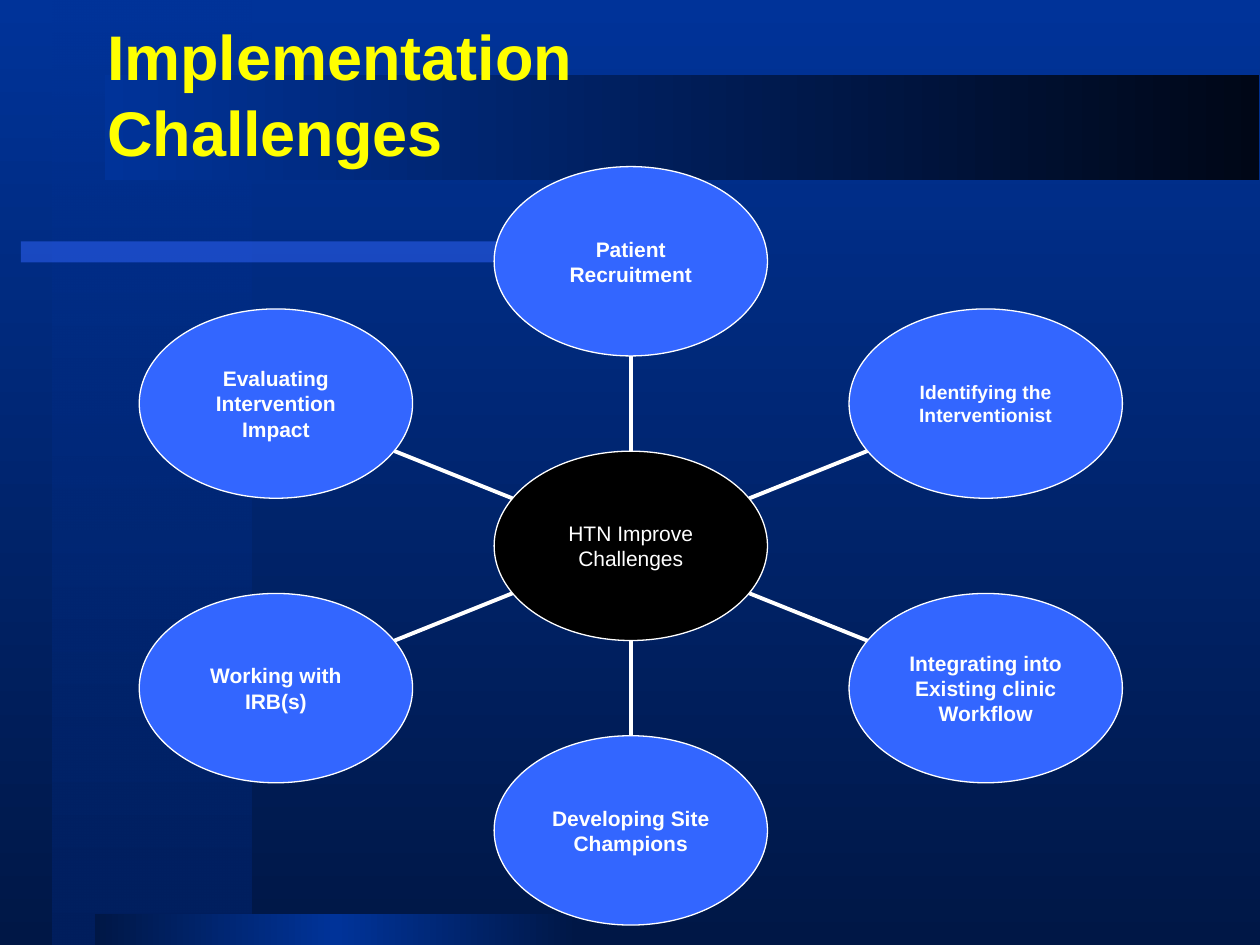
from lxml import etree
from pptx import Presentation
from pptx.dml.color import RGBColor
from pptx.enum import shapes, text
from pptx.oxml.ns import qn
from pptx.util import Pt

COLOURS = {
    "royal": "003399", "deep": "001F5E", "navy": "001746", "ink": "000717",
    "bright": "3366FF", "black": "000000", "white": "FFFFFF", "yellow": "FFFF00",
}

# Wheel geometry in points
CENTRE = (360.5, 311.9)
OVAL = (156.2, 108.2)
REACH_X, REACH_Y = 202.8, 162.6

# Column and row (in reach units), text size, paragraphs
CHALLENGES = [
    (-1, -0.5, 12, ["Evaluating", "Intervention", "Impact"]),
    (-1, 0.5, 12, ["Working with", "IRB(s)"]),
    (0, 1, 12, ["Developing Site", "Champions"]),
    (1, 0.5, 12, ["Integrating into", "Existing clinic", "Workflow"]),
    (1, -0.5, 11, ["Identifying the Interventionist"]),
    (0, -1, 12, ["Patient", "Recruitment"]),
]


def colour(name):
    return RGBColor.from_string(COLOURS[name])


def add_alpha(colour_element, percent):
    etree.SubElement(colour_element, qn("a:alpha"), val=str(percent * 1000))


def fill_gradient(fill, owner, stops, angle=0):
    """Fill with (position, colour name, opacity) stops; angle is clockwise."""
    fill.gradient()
    fill.gradient_angle = -angle % 360
    stop_list = owner.find(".//" + qn("a:gsLst"))
    for old_stop in list(stop_list):
        stop_list.remove(old_stop)
    for position, name, opacity in stops:
        stop = etree.SubElement(stop_list, qn("a:gs"), pos=str(position * 1000))
        value = etree.SubElement(stop, qn("a:srgbClr"), val=COLOURS[name])
        if opacity < 100:
            add_alpha(value, opacity)


def write_text(frame, lines, size=12, name="white", bold=True,
               align=text.PP_ALIGN.CENTER, wrap=True, margins=(0, 0)):
    frame.word_wrap = wrap
    frame.auto_size = text.MSO_AUTO_SIZE.NONE
    frame.vertical_anchor = text.MSO_ANCHOR.MIDDLE
    frame.margin_left = frame.margin_right = Pt(margins[0])
    frame.margin_top = frame.margin_bottom = Pt(margins[1])
    for index, line in enumerate(lines):
        para = frame.add_paragraph() if index else frame.paragraphs[0]
        para.alignment = align
        span = para.add_run()
        span.text = line
        span.font.name = "Arial"
        span.font.size = Pt(size)
        span.font.bold = bold
        span.font.color.rgb = colour(name)


def add_band(page, left, top, width, height, stops, angle=0):
    """Add a borderless band; a single stop gives a solid fill."""
    band = page.shapes.add_shape(shapes.MSO_SHAPE.RECTANGLE,
                                 Pt(left), Pt(top), Pt(width), Pt(height))
    band.shadow.inherit = False
    band.line.fill.background()
    if len(stops) > 1:
        fill_gradient(band.fill, band._element.spPr, stops, angle)
    else:
        _, name, opacity = stops[0]
        band.fill.solid()
        band.fill.fore_color.rgb = colour(name)
        add_alpha(band._element.spPr.find(".//" + qn("a:srgbClr")), opacity)


def add_oval(group, column, row, lines, fill="bright", **text_format):
    width, height = OVAL
    left = CENTRE[0] + column * REACH_X - width / 2
    top = CENTRE[1] + row * REACH_Y - height / 2
    oval = group.shapes.add_shape(shapes.MSO_SHAPE.OVAL,
                                  Pt(left), Pt(top), Pt(width), Pt(height))
    oval.shadow.inherit = False
    oval.fill.solid()
    oval.fill.fore_color.rgb = colour(fill)
    oval.line.color.rgb = colour("white")
    oval.line.width = Pt(0.75)
    write_text(oval.text_frame, lines, **text_format)


def add_spoke(group, column, row):
    """Draw the middle third of the way from the hub to an outer oval."""
    ends = [Pt(CENTRE[axis] + reach * part / 3)
            for part in (1, 2)
            for axis, reach in enumerate((column * REACH_X, row * REACH_Y))]
    spoke = group.shapes.add_connector(shapes.MSO_CONNECTOR.STRAIGHT, *ends)
    spoke.line.color.rgb = colour("white")
    spoke.line.width = Pt(2.25)
    etree.SubElement(spoke._element.spPr, qn("a:effectLst"))


def add_title(page, words):
    title = page.shapes.title
    title.left, title.top = Pt(54), Pt(25.2)
    title.width, title.height = Pt(470.2), Pt(56.2)
    write_text(title.text_frame, [words], size=36, name="yellow",
               align=text.PP_ALIGN.LEFT, margins=(7.2, 3.6))
    # Bring the title in front of the bands
    page.shapes._spTree.append(title._element)


def main():
    deck = Presentation()
    deck.slide_width, deck.slide_height = Pt(720), Pt(540)
    page = deck.slides.add_slide(deck.slide_layouts[5])

    # Background and decorative bands
    fill_gradient(page.background.fill, page._element,
                  [(0, "royal", 100), (100, "navy", 100)], 90)
    add_band(page, 30, 0, 114, 540, [(0, "royal", 50), (100, "deep", 100)], 90)
    add_band(page, 12, 138, 372, 12, [(0, "bright", 50)])
    add_band(page, 54, 522, 276, 18,
             [(0, "navy", 100), (50, "royal", 100), (100, "navy", 100)])
    add_band(page, 60, 43, 659.5, 60, [(0, "royal", 100), (100, "ink", 100)])

    add_title(page, "Implementation Challenges")

    # Wheel of challenges around the hub
    wheel = page.shapes.add_group_shape()
    for column, row, size, lines in CHALLENGES:
        add_spoke(wheel, column, row)
        add_oval(wheel, column, row, lines, size=size, wrap=len(lines) == 1)
    add_oval(wheel, 0, 0, ["HTN Improve Challenges"], fill="black", bold=False)

    deck.save("out.pptx")


if __name__ == "__main__":
    main()
